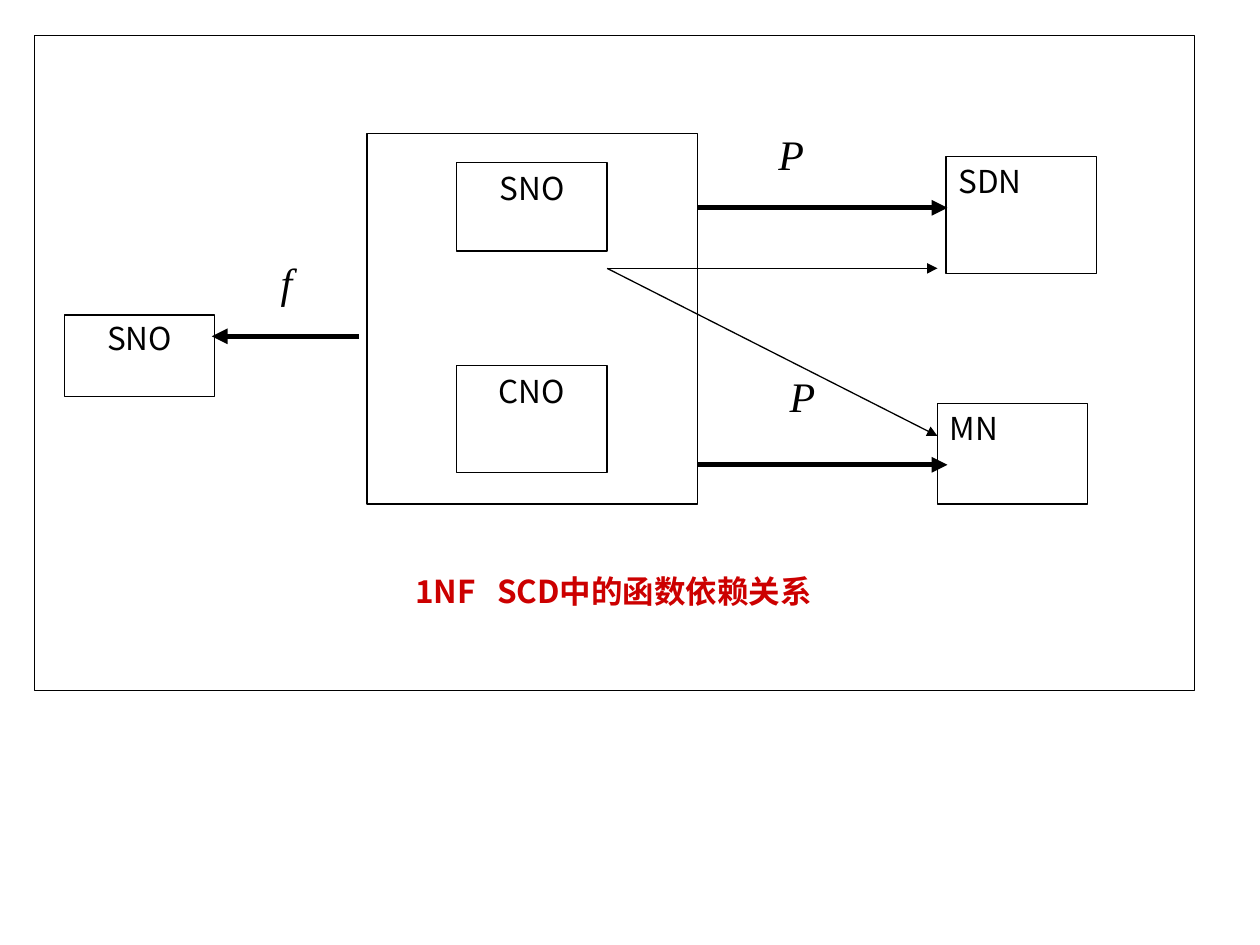
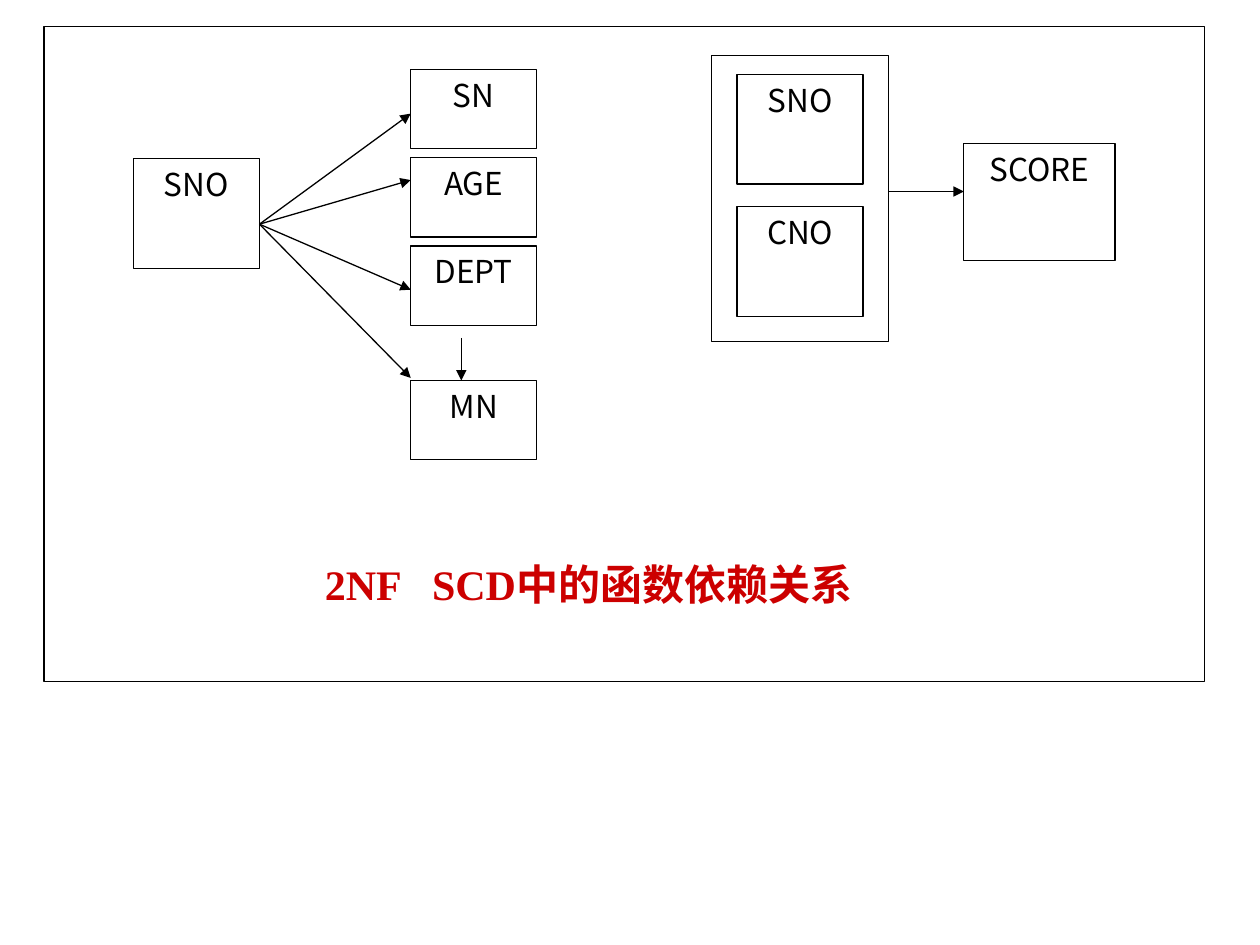
from lxml.etree import SubElement
from pptx import Presentation
from pptx.dml.color import RGBColor
from pptx.enum.shapes import MSO_CONNECTOR, MSO_SHAPE
from pptx.enum.text import MSO_ANCHOR, PP_ALIGN
from pptx.oxml.ns import qn
from pptx.util import Cm, Pt

BLACK = RGBColor(0x00, 0x00, 0x00)
WHITE = RGBColor(0xFF, 0xFF, 0xFF)
RED = RGBColor(0xCC, 0x00, 0x00)
SANS = "Noto Sans CJK SC"
SERIF = "Times New Roman"
THIN = 0.75
THICK = 3
FRAME_WIDTH, FRAME_HEIGHT = 23.39, 13.21


def add_text(slide, text, left, top, width, height, *, boxed=True, size=18,
             font=SANS, color=BLACK, bold=False, italic=False,
             align=PP_ALIGN.CENTER, spacing=None, before=None,
             inset=0.25, tab=None):
    area = Cm(left), Cm(top), Cm(width), Cm(height)
    if boxed:
        holder = slide.shapes.add_shape(MSO_SHAPE.RECTANGLE, *area)
        holder.shadow.inherit = False
        holder.fill.solid()
        holder.fill.fore_color.rgb = WHITE
        holder.line.color.rgb = BLACK
        holder.line.width = Pt(THIN)
    else:
        holder = slide.shapes.add_textbox(*area)
    if not text:
        return
    frame = holder.text_frame
    frame.word_wrap = True
    frame.vertical_anchor = MSO_ANCHOR.TOP
    frame.margin_left = Cm(inset)
    paragraph = frame.paragraphs[0]
    paragraph.alignment = align
    if spacing:
        paragraph.line_spacing = spacing
    if before:
        paragraph.space_before = Pt(before)
    if tab:
        stops = SubElement(paragraph._p.get_or_add_pPr(), qn("a:tabLst"))
        SubElement(stops, qn("a:tab"), pos=str(Cm(tab)), algn="l")
    run = paragraph.add_run()
    run.text = text
    run.font.name = font
    run.font.size = Pt(size)
    run.font.bold = bold
    run.font.italic = italic
    run.font.color.rgb = color
    SubElement(run._r.get_or_add_rPr(), qn("a:ea"), typeface=SANS)


def add_arrow(slide, start_x, start_y, end_x, end_y, weight=THIN):
    arrow = slide.shapes.add_connector(
        MSO_CONNECTOR.STRAIGHT, Cm(start_x), Cm(start_y), Cm(end_x), Cm(end_y))
    arrow.line.color.rgb = BLACK
    arrow.line.width = Pt(weight)
    SubElement(arrow.line._get_or_add_ln(), qn("a:tailEnd"), type="triangle")
    SubElement(arrow._element.spPr, qn("a:effectLst"))


deck = Presentation()
deck.slide_width = Cm(25.4)
deck.slide_height = Cm(19.05)
blank = deck.slide_layouts[6]
caption = dict(boxed=False, color=RED, bold=True, align=PP_ALIGN.LEFT)

first_form = deck.slides.add_slide(blank)
add_text(first_form, "", 0.69, 0.71, FRAME_WIDTH, FRAME_HEIGHT)
add_text(first_form, "", 7.4, 2.69, 6.66, 7.47)

for attribute, left, top, height, layout in (
    ("SDN", 19.07, 3.15, 2.36, dict(align=PP_ALIGN.JUSTIFY)),
    ("MN", 18.9, 8.13, 2.03, dict(align=PP_ALIGN.JUSTIFY)),
    ("SNO", 1.3, 6.35, 1.65, dict(spacing=0.96)),
    ("SNO", 9.21, 3.28, 1.78, {}),
    ("CNO", 9.21, 7.37, 2.16, {}),
):
    add_text(first_form, attribute, left, top, 3.03, height, **layout)

for target_y in (5.41, 8.79):
    add_arrow(first_form, 12.24, 5.41, 18.9, target_y)
for partial_y in (4.19, 9.37):
    add_arrow(first_form, 14.07, partial_y, 19.1, partial_y, THICK)
add_arrow(first_form, 7.24, 6.78, 4.27, 6.78, THICK)

for dependency, left, top, width in (
    ("P", 15.44, 2.46, 0.91),
    ("P", 15.67, 7.34, 0.91),
    ("f", 5.41, 5.05, 1.37),
):
    add_text(first_form, dependency, left, top, width, 1.27, boxed=False,
             size=24, font=SERIF, italic=True, align=PP_ALIGN.LEFT, before=15)

add_text(first_form, "1NF\tSCD中的函数依赖关系", 7.77, 11.4, 9.37, 1.91,
         inset=0.6, tab=1.65, **caption)

second_form = deck.slides.add_slide(blank)
add_text(second_form, "", 0.89, 0.53, FRAME_WIDTH, FRAME_HEIGHT)
add_text(second_form, "", 14.35, 1.12, 3.56, 5.77)

add_text(second_form, "SNO", 2.69, 3.2, 2.54, 2.21)
for attribute, top, target_y in (
    ("SN", 1.4, 2.29),
    ("AGE", 3.18, 3.63),
    ("DEPT", 4.96, 5.84),
    ("MN", 7.67, 7.62),
):
    add_text(second_form, attribute, 8.28, top, 2.54, 1.6)
    add_arrow(second_form, 5.23, 4.52, 8.28, target_y)
add_arrow(second_form, 9.3, 6.81, 9.3, 7.67)

for row, key in enumerate(("SNO", "CNO")):
    add_text(second_form, key, 14.86, 1.5 + 2.67 * row, 2.54, 2.21)
add_text(second_form, "SCORE", 19.43, 2.9, 3.05, 2.36)
add_arrow(second_form, 17.91, 3.86, 19.43, 3.86)

add_text(second_form, "2NF\tSCD中的函数依赖关系", 6.3, 11.13, 14.6, 1.27,
         size=24, font=SERIF, before=15, tab=2.16, **caption)

deck.save("out.pptx")
